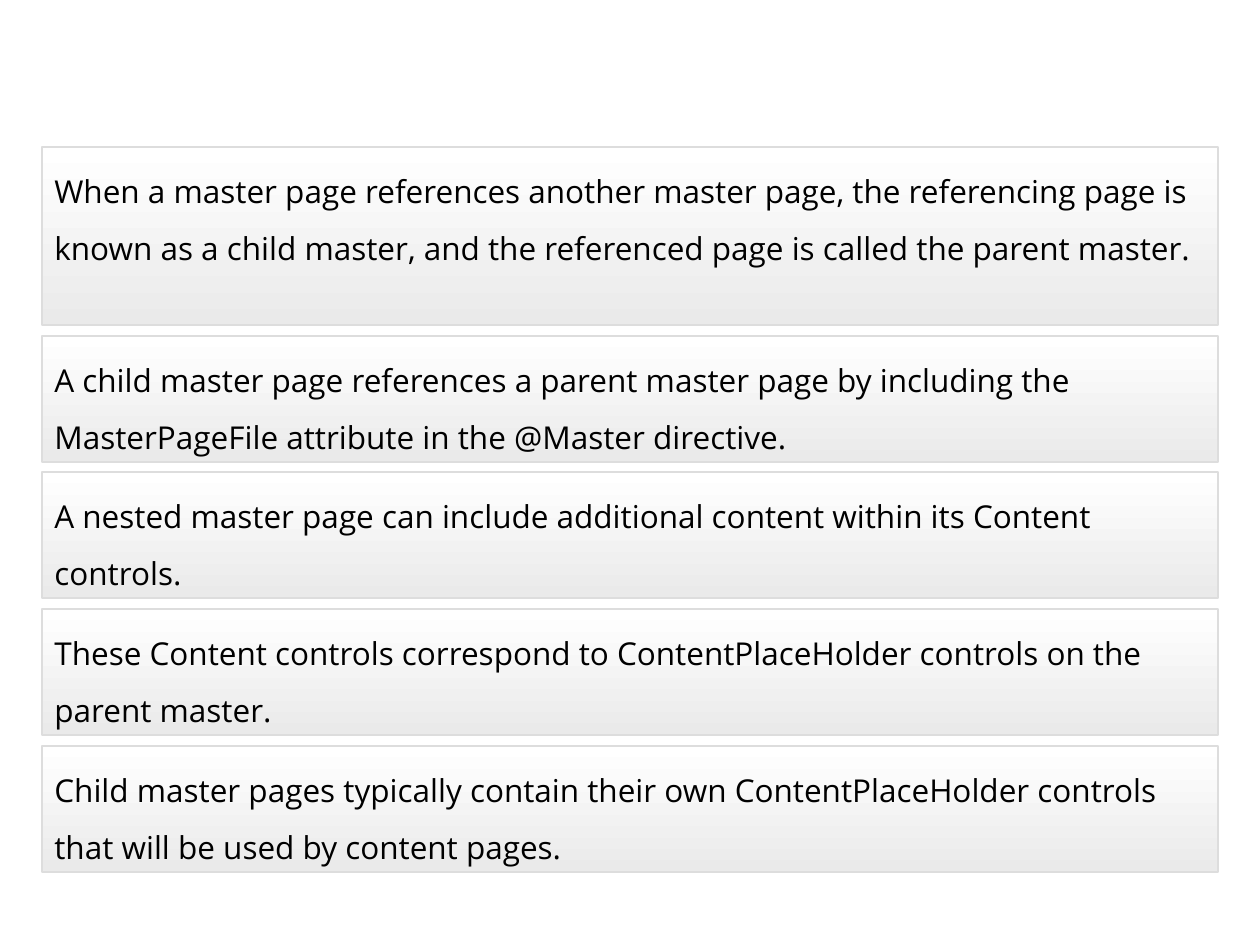
from pptx import Presentation
from pptx import util as u
from pptx.dml.color import RGBColor
from pptx.enum import shapes, text

SCALE = 914400 // 126  # EMU per pixel


def color(value):
    return RGBColor.from_string(value)


class SlideBuilder:
    font = "Open Sans"
    size = u.Pt(18)
    ink = "000000"
    border = "DDDDDD"
    gradient = ("FFFFFF", "EAEAEA")

    def __init__(self, slide):
        self.slide = slide

    def panel(self, left, top, width, height, wording):
        box = [u.Emu(value * SCALE) for value in (left, top, width, height)]
        shape = self.slide.shapes.add_shape(shapes.MSO_SHAPE.RECTANGLE, *box)
        shape.shadow.inherit = False

        # Vertical gradient and thin border
        shape.fill.gradient()
        shape.fill.gradient_angle = 270
        for stop, value, position in zip(shape.fill.gradient_stops, self.gradient, (0, 1)):
            stop.color.rgb = color(value)
            stop.position = position
        shape.line.color.rgb = color(self.border)
        shape.line.width = u.Pt(1)

        # Wording
        frame = shape.text_frame
        frame.word_wrap = True
        frame.vertical_anchor = text.MSO_ANCHOR.TOP
        paragraph = frame.paragraphs[0]
        paragraph.alignment = text.PP_ALIGN.LEFT
        paragraph.line_spacing = 1.5
        run = paragraph.add_run()
        run.text = wording
        run.font.name = self.font
        run.font.size = self.size
        run.font.color.rgb = color(self.ink)


presentation = Presentation()
presentation.slide_width = u.Inches(10)
presentation.slide_height = u.Inches(7.5)
builder = SlideBuilder(presentation.slides.add_slide(presentation.slide_layouts[6]))

# Stacked panels with equal gaps
LEFT, TOP, WIDTH, GAP = 42, 147, 1176, 10.5
PANELS = [
    (178.5, "When a master page references another master page, the referencing page is "
            "known as a child master, and the referenced page is called the parent master."),
    (126, "A child master page references a parent master page by including the "
          "MasterPageFile attribute in the @Master directive."),
    (126, "A nested master page can include additional content within its Content controls."),
    (126, "These Content controls correspond to ContentPlaceHolder controls on the "
          "parent master."),
    (126, "Child master pages typically contain their own ContentPlaceHolder controls "
          "that will be used by content pages."),
]
top = TOP
for height, wording in PANELS:
    builder.panel(LEFT, round(top), WIDTH, round(height), wording)
    top += height + GAP

presentation.save("out.pptx")
